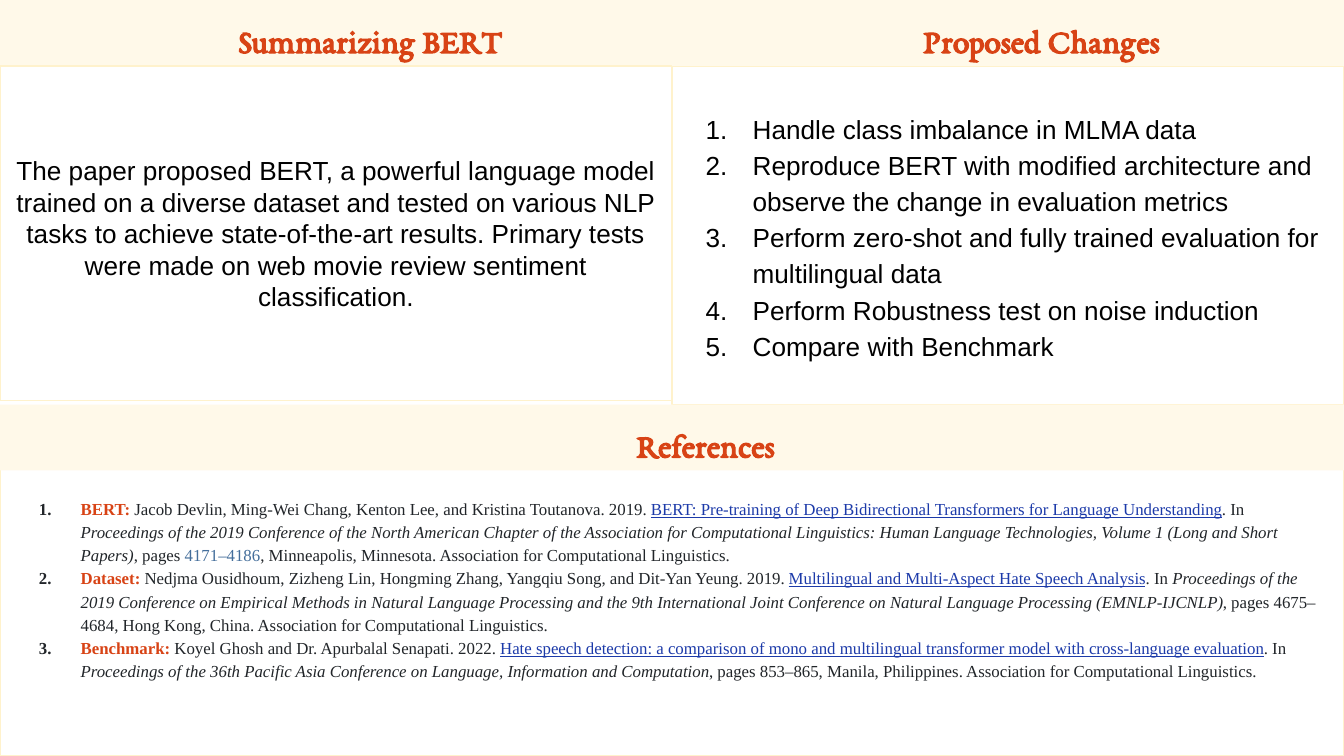
from dataclasses import dataclass

import pptx
import pptx.dml.color
import pptx.enum.shapes
import pptx.enum.text
import pptx.oxml
import pptx.oxml.ns
import pptx.util
from pptx.util import Pt

COLORS = {
    "paper": "FFFFFF",
    "cream": "FFF9E9",
    "border": "FFF2CC",
    "accent": "D84315",
    "black": "000000",
    "ink": "212529",
    "link": "1C3AA9",
    "pages": "446E9B",
}
ALIGN = pptx.enum.text.PP_ALIGN
ANCHOR = pptx.enum.text.MSO_ANCHOR
WIDTH, HEIGHT = 720, 405
HALF = WIDTH / 2
BAND = 35.3
REFERENCES_TOP = 216.7


@dataclass
class Frame:
    left: float
    top: float
    width: float
    height: float


@dataclass
class Span:
    text: str
    color: str = "ink"
    bold: bool = False
    italic: bool = False
    underline: bool = False


@dataclass
class Style:
    font: str
    size: float
    color: str
    bold: bool = False


@dataclass
class Reference:
    label: str
    authors: str
    title: str
    venue: str
    ending: list[Span]


HEADING = Style("EB Garamond", 18, "accent", True)
BODY = Style("Arial", 14, "black")
CITATION = Style("Times New Roman", 9, "ink")

SUMMARY = (
    "The paper proposed BERT, a powerful language model trained on a diverse dataset "
    "and tested on various NLP tasks to achieve state-of-the-art results. Primary tests "
    "were made on web movie review sentiment classification."
)
CHANGES = [
    "Handle class imbalance in MLMA data",
    "Reproduce BERT with modified architecture and observe the change in evaluation metrics",
    "Perform zero-shot and fully trained evaluation for multilingual data",
    "Perform Robustness test on noise induction",
    "Compare with Benchmark",
]
REFERENCES = [
    Reference(
        "BERT:",
        " Jacob Devlin, Ming-Wei Chang, Kenton Lee, and Kristina Toutanova. 2019. ",
        "BERT: Pre-training of Deep Bidirectional Transformers for Language Understanding",
        "Proceedings of the 2019 Conference of the North American Chapter of the Association "
        "for Computational Linguistics: Human Language Technologies, Volume 1 "
        "(Long and Short Papers)",
        [
            Span(", pages "),
            Span("4171–4186", "pages"),
            Span(", Minneapolis, Minnesota. Association for Computational Linguistics."),
        ],
    ),
    Reference(
        "Dataset: ",
        "Nedjma Ousidhoum, Zizheng Lin, Hongming Zhang, Yangqiu Song, and Dit-Yan Yeung. 2019. ",
        "Multilingual and Multi-Aspect Hate Speech Analysis",
        "Proceedings of the 2019 Conference on Empirical Methods in Natural Language Processing "
        "and the 9th International Joint Conference on Natural Language Processing "
        "(EMNLP-IJCNLP)",
        [Span(", pages 4675–4684, Hong Kong, China. Association for Computational Linguistics.")],
    ),
    Reference(
        "Benchmark: ",
        "Koyel Ghosh and Dr. Apurbalal Senapati. 2022. ",
        "Hate speech detection: a comparison of mono and multilingual transformer model "
        "with cross-language evaluation",
        "Proceedings of the 36th Pacific Asia Conference on Language, Information and Computation",
        [Span(", pages 853–865, Manila, Philippines. Association for Computational Linguistics.")],
    ),
]


def rgb(name: str) -> pptx.dml.color.RGBColor:
    return pptx.dml.color.RGBColor.from_string(COLORS[name])


def place(box, frame: Frame, fill: str, anchor, border: str | None = None) -> None:
    """Move a box and give it its fill, border and text insets."""
    box.left, box.top = Pt(frame.left), Pt(frame.top)
    box.width, box.height = Pt(frame.width), Pt(frame.height)
    box.fill.solid()
    box.fill.fore_color.rgb = rgb(fill)
    if border:
        box.line.color.rgb = rgb(border)
        box.line.width = Pt(0.75)
    text = box.text_frame
    text.word_wrap = True
    text.auto_size = pptx.enum.text.MSO_AUTO_SIZE.NONE
    text.vertical_anchor = anchor
    text.margin_left = text.margin_right = text.margin_top = text.margin_bottom = Pt(7.2)


def indent(para, left: float, first: float) -> None:
    properties = para._p.get_or_add_pPr()
    properties.set("marL", str(Pt(left)))
    properties.set("indent", str(Pt(first)))


def number(para, style: Style) -> None:
    """Number a paragraph; call after spacing and before fonts are set."""
    namespace = pptx.oxml.ns.nsdecls("a")
    for xml in (
        f'<a:buClr {namespace}><a:srgbClr val="{COLORS[style.color]}"/></a:buClr>',
        f'<a:buFont {namespace} typeface="{style.font}"/>',
        f'<a:buAutoNum {namespace} type="arabicPeriod"/>',
    ):
        para._p.get_or_add_pPr().append(pptx.oxml.parse_xml(xml))


def write(para, spans: list[Span], style: Style) -> None:
    para.font.name, para.font.size = style.font, Pt(style.size)
    for span in spans:
        run = para.add_run()
        run.text = span.text
        font = run.font
        font.name, font.size = style.font, Pt(style.size)
        font.bold, font.italic, font.underline = span.bold, span.italic, span.underline
        font.color.rgb = rgb(span.color)


def write_heading(box, text: str, frame: Frame) -> None:
    place(box, frame, "cream", ANCHOR.TOP)
    para = box.text_frame.paragraphs[0]
    para.alignment, para.line_spacing = ALIGN.CENTER, 1.15
    indent(para, 0, 36)
    write(para, [Span(text, HEADING.color, HEADING.bold)], HEADING)


def write_list(box, items: list[list[Span]], style: Style, hanging: float,
               before: float = 0) -> None:
    for index, spans in enumerate(items):
        text = box.text_frame
        para = text.add_paragraph() if index else text.paragraphs[0]
        para.alignment, para.line_spacing = ALIGN.LEFT, 1.15
        para.space_before = Pt(0 if index else before)
        indent(para, 36, -hanging)
        number(para, style)
        write(para, spans, style)


def citation(reference: Reference) -> list[Span]:
    return [
        Span(reference.label, "accent", bold=True),
        Span(reference.authors),
        Span(reference.title, "link", underline=True),
        Span(". In "),
        Span(reference.venue, italic=True),
        *reference.ending,
    ]


def main() -> None:
    deck = pptx.Presentation()
    deck.slide_width, deck.slide_height = Pt(WIDTH), Pt(HEIGHT)
    page = deck.slides.add_slide(deck.slide_layouts.get_by_name("Two Content"))
    title, references, changes = page.placeholders

    place(references, Frame(0, 225.4, WIDTH, HEIGHT - 225.4), "paper", ANCHOR.MIDDLE, "border")
    write_list(references, [citation(item) for item in REFERENCES], CITATION, 22.3, before=12)

    summary = page.shapes.add_shape(pptx.enum.shapes.MSO_SHAPE.RECTANGLE, 0, 0, 0, 0)
    summary.shadow.inherit = False
    place(summary, Frame(0, BAND, HALF, 179.3), "paper", ANCHOR.MIDDLE, "border")
    para = summary.text_frame.paragraphs[0]
    para.alignment = ALIGN.CENTER
    write(para, [Span(SUMMARY, BODY.color)], BODY)

    place(changes, Frame(HALF, BAND, HALF, 181.4), "paper", ANCHOR.MIDDLE, "border")
    write_list(changes, [[Span(item, BODY.color)] for item in CHANGES], BODY, 25.2)

    write_heading(title, "Summarizing BERT", Frame(0, 0, HALF, BAND))
    for text, frame in (
        ("Proposed Changes", Frame(HALF, 0, HALF, BAND)),
        ("References", Frame(0, REFERENCES_TOP, WIDTH, BAND)),
    ):
        write_heading(page.shapes.add_textbox(0, 0, 0, 0), text, frame)

    deck.save("out.pptx")


if __name__ == "__main__":
    main()
